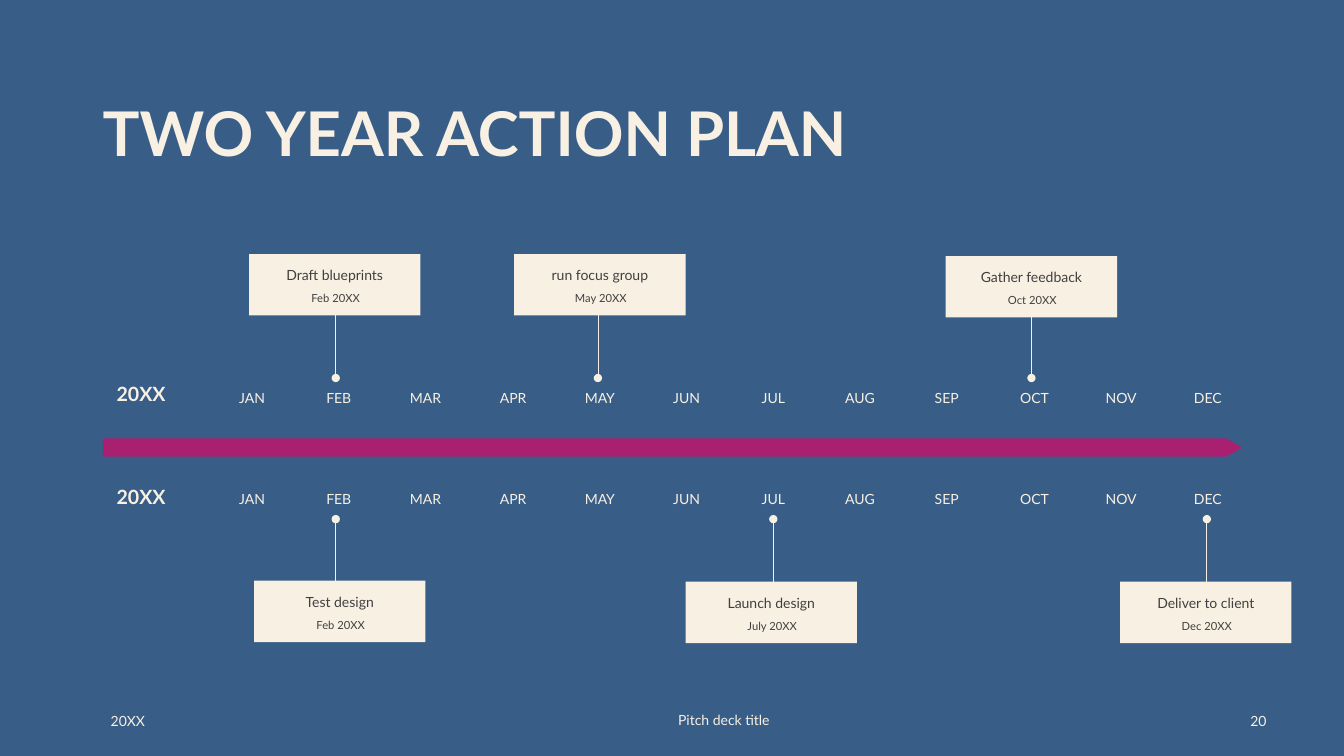
from dataclasses import dataclass

import lxml.etree
import pptx
import pptx.dml.color
import pptx.enum.shapes
import pptx.enum.text
import pptx.oxml.ns
import pptx.shapes.base
import pptx.slide
import pptx.util

EMU_PER_PX = 9144  # 100 px to the inch
ALIGN = pptx.enum.text.PP_ALIGN
ANCHOR = pptx.enum.text.MSO_ANCHOR
SHAPE = pptx.enum.shapes.MSO_SHAPE


@dataclass(frozen=True)
class Theme:
    background: str = "385E88"
    cream: str = "F8F0E3"
    ink: str = "404040"
    accent: str = "AA2070"
    font: str = "Lato"
    title_size: int = 44
    year_size: int = 14
    label_size: int = 10
    date_size: int = 8
    stem_width: float = 0.5


THEME = Theme()


@dataclass(frozen=True)
class Box:
    left: int
    top: int
    width: int
    height: int


@dataclass(frozen=True)
class TextStyle:
    size: int = THEME.label_size
    color: str = THEME.cream
    bold: bool = False
    align: ALIGN = ALIGN.CENTER
    anchor: ANCHOR = ANCHOR.TOP
    line_spacing: float = 0.9
    top_inset: int = 5


@dataclass(frozen=True)
class Milestone:
    name: str
    date: str
    left: int
    top: int
    stem_x: int


@dataclass(frozen=True)
class YearRow:
    year_top: int
    month_top: int
    stem_start: int
    stem_end: int
    milestones: tuple[Milestone, ...]


@dataclass(frozen=True)
class Footer:
    text: str
    box: Box
    align: ALIGN


MONTHS = ("JAN", "FEB", "MAR", "APR", "MAY", "JUN",
          "JUL", "AUG", "SEP", "OCT", "NOV", "DEC")
FIRST_MONTH_LEFT, LAST_MONTH_LEFT = 215, 1163

YEAR_ROWS = (
    YearRow(367, 383, 295, 375, (
        Milestone("Draft blueprints", "Feb 20XX", 247, 252, 333),
        Milestone("run focus group", "May 20XX", 510, 252, 593),
        Milestone("Gather feedback", "Oct 20XX", 938, 254, 1023),
    )),
    YearRow(469, 484, 595, 515, (
        Milestone("Test design", "Feb 20XX", 252, 576, 333),
        Milestone("Launch design", "July 20XX", 680, 577, 767),
        Milestone("Deliver to client", "Dec 20XX", 1111, 577, 1197),
    )),
)

FOOTERS = (
    Footer("20XX", Box(100, 695, 120, 40), ALIGN.LEFT),
    Footer("Pitch deck title", Box(593, 694, 250, 40), ALIGN.CENTER),
    Footer("20", Box(1216, 695, 50, 40), ALIGN.RIGHT),
)

TITLE_STYLE = TextStyle(THEME.title_size, bold=True, align=ALIGN.LEFT)
YEAR_STYLE = TextStyle(THEME.year_size, bold=True, anchor=ANCHOR.MIDDLE)
MONTH_STYLE = TextStyle()
CARD_STYLE = TextStyle(color=THEME.ink, line_spacing=1.5, top_inset=4)
DATE_STYLE = TextStyle(THEME.date_size, THEME.ink)


def px(length: int) -> pptx.util.Emu:
    return pptx.util.Emu(length * EMU_PER_PX)


def rgb(color: str) -> pptx.dml.color.RGBColor:
    return pptx.dml.color.RGBColor.from_string(color)


def place(box: Box) -> tuple[pptx.util.Emu, ...]:
    return px(box.left), px(box.top), px(box.width), px(box.height)


def write(shape: pptx.shapes.base.BaseShape, text: str, style: TextStyle) -> None:
    frame = shape.text_frame
    frame.text = text
    frame.word_wrap = True
    frame.vertical_anchor = style.anchor
    frame.margin_left = frame.margin_right = px(10)
    frame.margin_top, frame.margin_bottom = px(style.top_inset), px(5)
    paragraph = frame.paragraphs[0]
    paragraph.alignment = style.align
    paragraph.line_spacing = style.line_spacing
    font = paragraph.runs[0].font
    font.name = THEME.font
    font.size = pptx.util.Pt(style.size)
    font.bold = style.bold
    font.color.rgb = rgb(style.color)


def add_text(slide: pptx.slide.Slide, text: str, box: Box, style: TextStyle) -> None:
    write(slide.shapes.add_textbox(*place(box)), text, style)


def add_filled(slide: pptx.slide.Slide, kind: SHAPE, box: Box,
               color: str) -> pptx.shapes.base.BaseShape:
    shape = slide.shapes.add_shape(kind, *place(box))
    shape.shadow.inherit = False
    shape.fill.solid()
    shape.fill.fore_color.rgb = rgb(color)
    shape.line.fill.background()
    return shape


def add_stem(slide: pptx.slide.Slide, x: int, start: int, end: int) -> None:
    connector = slide.shapes.add_connector(
        pptx.enum.shapes.MSO_CONNECTOR.STRAIGHT, px(x), px(start), px(x), px(end))
    connector.line.color.rgb = rgb(THEME.cream)
    connector.line.width = pptx.util.Pt(THEME.stem_width)
    qualified = pptx.oxml.ns.qn
    line = connector.line._get_or_add_ln()
    lxml.etree.SubElement(line, qualified("a:tailEnd"), type="oval")
    lxml.etree.SubElement(line.getparent(), qualified("a:effectLst"))


def add_milestone(slide: pptx.slide.Slide, milestone: Milestone) -> None:
    card = Box(milestone.left, milestone.top, 170, 61)
    write(add_filled(slide, SHAPE.RECTANGLE, card, THEME.cream),
          milestone.name, CARD_STYLE)
    add_text(slide, milestone.date, Box(card.left + 6, card.top + 34, 160, 25), DATE_STYLE)


def add_year_row(slide: pptx.slide.Slide, row: YearRow) -> None:
    # Stems go first so that the cards cover their inner ends
    for milestone in row.milestones:
        add_stem(slide, milestone.stem_x, row.stem_start, row.stem_end)
    for milestone in row.milestones:
        add_milestone(slide, milestone)
    add_text(slide, "20XX", Box(100, row.year_top, 80, 50), YEAR_STYLE)
    pitch = (LAST_MONTH_LEFT - FIRST_MONTH_LEFT) / (len(MONTHS) - 1)
    for index, month in enumerate(MONTHS):
        left = FIRST_MONTH_LEFT + round(index * pitch)
        add_text(slide, month, Box(left, row.month_top, 70, 22), MONTH_STYLE)


def main() -> None:
    presentation = pptx.Presentation()
    presentation.slide_width, presentation.slide_height = px(1333), px(750)
    slide = presentation.slides.add_slide(presentation.slide_layouts[6])
    slide.background.fill.solid()
    slide.background.fill.fore_color.rgb = rgb(THEME.background)

    # Title and timeline arrow
    add_text(slide, "TWO YEAR ACTION PLAN", Box(92, 98, 1150, 145), TITLE_STYLE)
    arrow = add_filled(slide, SHAPE.RIGHT_ARROW, Box(102, 435, 1130, 18), THEME.accent)
    arrow.adjustments[0], arrow.adjustments[1] = 1, 0.86

    # Both years with their milestones
    for row in YEAR_ROWS:
        add_year_row(slide, row)

    # Footer
    for footer in FOOTERS:
        style = TextStyle(align=footer.align, anchor=ANCHOR.MIDDLE, line_spacing=1.0)
        add_text(slide, footer.text, footer.box, style)

    presentation.save("out.pptx")


if __name__ == "__main__":
    main()
